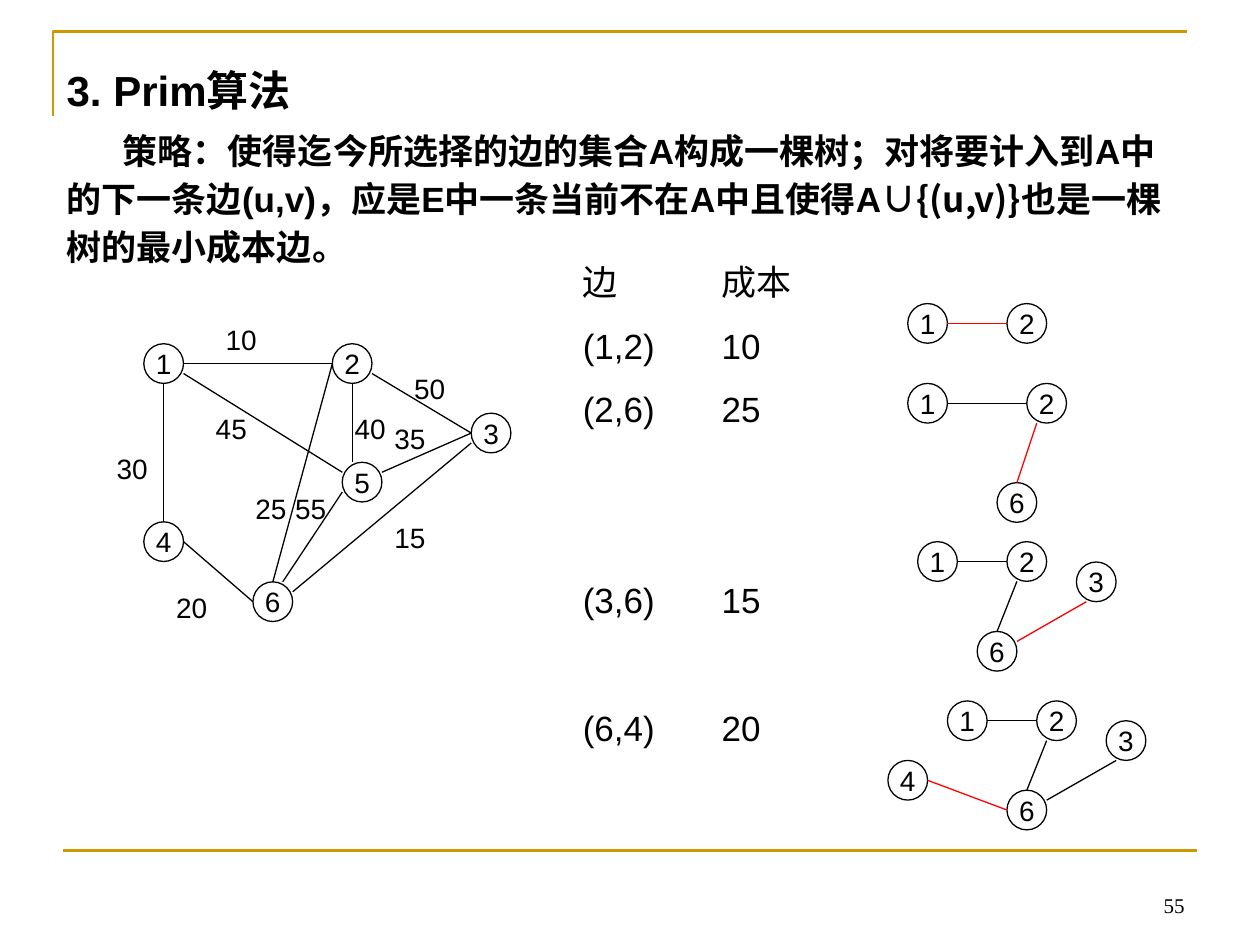
from pptx import Presentation
from pptx.dml.color import RGBColor
from pptx.enum import shapes, text
from pptx.oxml import ns, xmlchemy
from pptx.util import Cm, Pt

BLACK = RGBColor(0, 0, 0)
RED = RGBColor(255, 0, 0)
GOLD = RGBColor(0xCC, 0x99, 0)
LATIN = "Arial"
HAN = "Noto Sans CJK SC"
SERIF = "Times New Roman"

NODE = 0.8
TOP, BOTTOM, LEFT, RIGHT = (0.5, 0), (0.5, 1), (0, 0.5), (1, 0.5)
RIGHT_HIGH, RIGHT_LOW = (1, 0.25), (1, 0.75)
LEFT_HIGH, LEFT_LOW = (0, 0.25), (0, 0.75)

GRAPH_NODES = {1: (2.9, 6.93), 4: (2.9, 10.52), 6: (5.1, 11.73),
               2: (6.7, 6.93), 5: (6.9, 9.32), 3: (9.5, 8.33)}
GRAPH_EDGES = [
    (1, RIGHT, 2, LEFT), (1, BOTTOM, 4, TOP), (4, RIGHT, 6, LEFT),
    (5, LEFT_LOW, 6, (0.75, 0)), (2, LEFT, 6, TOP),
    (1, RIGHT_LOW, 5, LEFT_HIGH), (2, BOTTOM, 5, (0.25, 0)),
    (5, RIGHT_HIGH, 3, LEFT), (2, RIGHT_LOW, 3, LEFT),
    (6, RIGHT_HIGH, 3, LEFT_LOW),
]
COSTS = [("10", 4.3, 6.37), ("30", 2.1, 8.97), ("20", 3.3, 11.78),
         ("45", 4.1, 8.18), ("25", 4.9, 9.78), ("55", 5.7, 9.78),
         ("40", 6.9, 8.18), ("50", 8.1, 7.37), ("15", 7.7, 10.36),
         ("35", 7.7, 8.38)]

TREE_EDGES = [(1, RIGHT, 2, LEFT), (2, (0.25, 1), 6, TOP),
              (6, RIGHT_HIGH, 3, (0.25, 1)), (4, RIGHT, 6, LEFT)]
TREE_STEPS = [
    {1: (18.3, 6.12), 2: (20.3, 6.12)},
    {1: (18.3, 7.73), 6: (20.1, 9.73), 2: (20.7, 7.73)},
    {1: (18.5, 10.92), 6: (19.7, 12.73), 2: (20.3, 10.92), 3: (21.7, 11.33)},
    {1: (19.1, 14.13), 6: (20.3, 15.93), 2: (20.9, 14.13), 3: (22.3, 14.53),
     4: (17.9, 15.33)},
]

ROW = 23.9
ROW_GAP = 12.5
COLUMNS = [(11.5, ["边", "(1,2)", "(2,6)", "(3,6)", "(6,4)"]),
           (14.3, ["成本", "10", "25", "15", "20"])]
ROW_STEPS = [1, 1, 1, 3, 2]

HEADING = "3. Prim算法"
STRATEGY = ("策略：使得迄今所选择的边的集合A构成一棵树；对将要计入到A中的"
            "下一条边(u,v)，应是E中一条当前不在A中且使得A")
CONDITION = "∪{(u,v)}也是一棵树的最小成本边。"


def style_run(run, size, font=LATIN, bold=False):
    run.font.size = Pt(size)
    run.font.name = font
    run.font.bold = bold
    run.font.color.rgb = BLACK
    east_asian = xmlchemy.OxmlElement("a:ea")
    east_asian.set("typeface", HAN)
    run.font._element.find(ns.qn("a:latin")).addnext(east_asian)


def style_line(shape, color, width):
    shape.line.color.rgb = color
    shape.line.width = Pt(width)


def add_line(parent, start, end, color, width):
    line = parent.add_connector(shapes.MSO_CONNECTOR.STRAIGHT,
                                *(Cm(v) for v in (*start, *end)))
    style_line(line, color, width)
    line._element.spPr.append(xmlchemy.OxmlElement("a:effectLst"))


def add_text(parent, box, content, size, font=LATIN):
    label = parent.add_textbox(*(Cm(v) for v in box))
    frame = label.text_frame
    frame.word_wrap = True
    frame.text = content
    for paragraph in frame.paragraphs:
        style_run(paragraph.runs[0], size, font)
    return frame


def add_node(parent, number, place):
    node = parent.add_shape(shapes.MSO_SHAPE.OVAL, Cm(place[0]), Cm(place[1]),
                            Cm(NODE), Cm(NODE))
    node.shadow.inherit = False
    node.fill.background()
    style_line(node, BLACK, 0.75)
    frame = node.text_frame
    frame.word_wrap = False
    frame.vertical_anchor = text.MSO_ANCHOR.MIDDLE
    frame.text = str(number)
    frame.paragraphs[0].alignment = text.PP_ALIGN.CENTER
    style_run(frame.paragraphs[0].runs[0], 16)


def anchor_point(place, anchor):
    return [corner + NODE * share for corner, share in zip(place, anchor)]


def add_graph(slide, nodes, edges, newest=None):
    graph = slide.shapes.add_group_shape().shapes
    for number, place in nodes.items():
        add_node(graph, number, place)
    for edge in edges:
        start, leaving, end, arriving = edge
        add_line(graph, anchor_point(nodes[start], leaving),
                 anchor_point(nodes[end], arriving),
                 RED if edge == newest else BLACK, 0.75)
    return graph


def add_column(slide, left, entries):
    frame = add_text(slide.shapes, (left, 5.13, 2, 10.13),
                     "\n".join(entries), 20)
    for paragraph, steps in zip(frame.paragraphs, ROW_STEPS):
        paragraph.line_spacing = Pt(ROW)
        paragraph.space_before = Pt(steps * ROW_GAP + (steps - 1) * ROW)


def place_placeholder(holder, box, line_height):
    holder.left, holder.top, holder.width, holder.height = map(Cm, box)
    frame = holder.text_frame
    frame.word_wrap = True
    frame.auto_size = text.MSO_AUTO_SIZE.NONE
    frame.vertical_anchor = text.MSO_ANCHOR.TOP
    paragraph = frame.paragraphs[0]
    paragraph.alignment = text.PP_ALIGN.LEFT
    paragraph.line_spacing = Pt(line_height)
    paragraph.space_before = Pt(0)
    return paragraph


def add_heading(slide):
    paragraph = place_placeholder(slide.shapes.title, (1.09, 0.91, 22.86, 1.45), 36)
    paragraph.text = HEADING
    style_run(paragraph.runs[0], 24, bold=True)


def add_strategy(slide):
    paragraph = place_placeholder(slide.placeholders[1],
                                  (1.09, 2.36, 22.86, 3.15), 27.4)
    paragraph.text = STRATEGY
    paragraph.add_run().text = CONDITION
    for run, font in zip(paragraph.runs, (LATIN, HAN)):
        style_run(run, 20, font, bold=True)
    properties = paragraph._p.get_or_add_pPr()
    properties.set("marL", "0")
    properties.set("indent", str(Cm(1.13)))
    properties.append(xmlchemy.OxmlElement("a:buNone"))


def add_frame(slide):
    outline = slide.shapes.build_freeform(Cm(1.07), Cm(2.34))
    outline.add_line_segments([(Cm(1.07), Cm(0.64)), (Cm(23.93), Cm(0.64))],
                              close=False)
    corner = outline.convert_to_shape()
    corner.shadow.inherit = False
    corner.fill.background()
    style_line(corner, GOLD, 1.5)
    add_line(slide.shapes, (1.27, 17.15), (24.13, 17.15), GOLD, 1.5)


def add_page_number(slide):
    frame = add_text(slide.shapes, (18.21, 17.35, 5.92, 1.27), "55", 12, SERIF)
    frame.vertical_anchor = text.MSO_ANCHOR.BOTTOM
    frame.paragraphs[0].alignment = text.PP_ALIGN.RIGHT


def main():
    deck = Presentation()
    deck.slide_width, deck.slide_height = Cm(25.4), Cm(19.05)
    slide = deck.slides.add_slide(deck.slide_layouts[1])
    add_frame(slide)
    add_heading(slide)
    add_strategy(slide)
    graph = add_graph(slide, GRAPH_NODES, GRAPH_EDGES)
    for cost, left, top in COSTS:
        add_text(graph, (left, top, 1.4, 0.94), cost, 16)
    for count, nodes in enumerate(TREE_STEPS, 1):
        add_graph(slide, nodes, TREE_EDGES[:count], TREE_EDGES[count - 1])
    for left, entries in COLUMNS:
        add_column(slide, left, entries)
    add_page_number(slide)
    deck.save("out.pptx")


if __name__ == "__main__":
    main()
